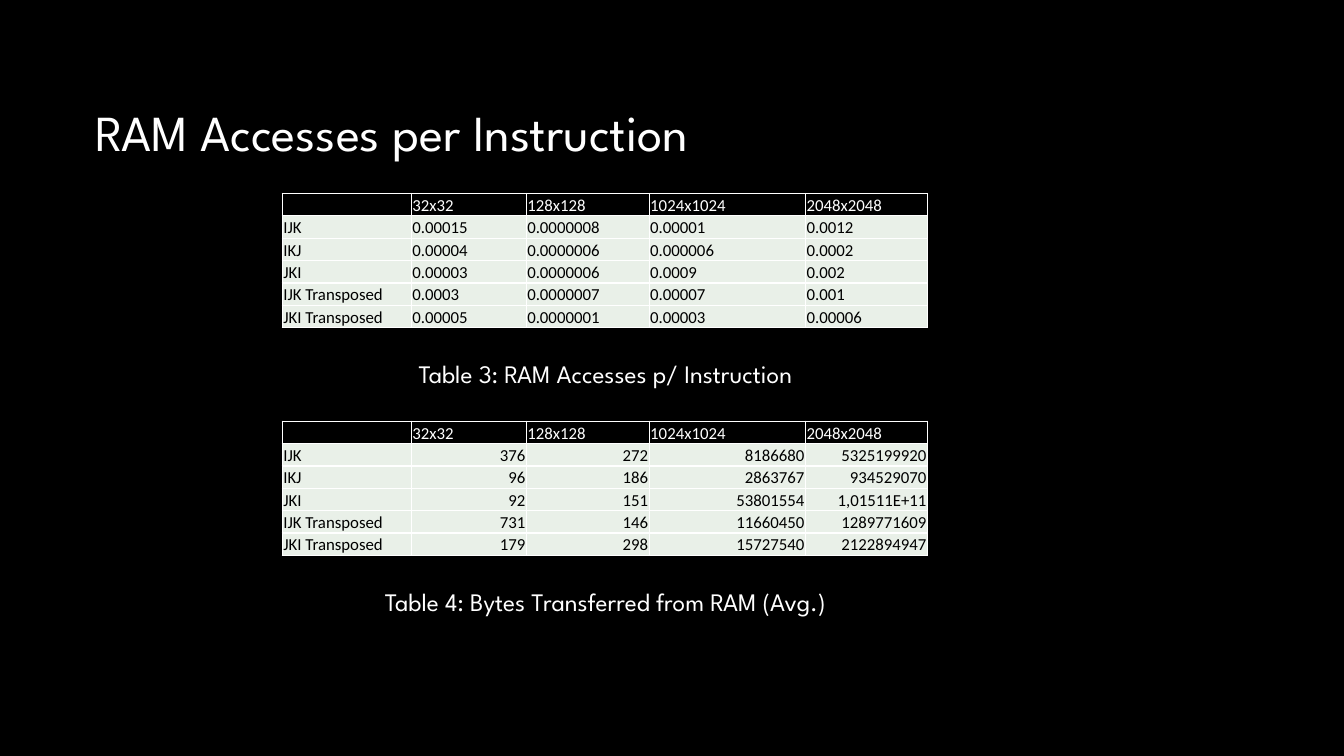
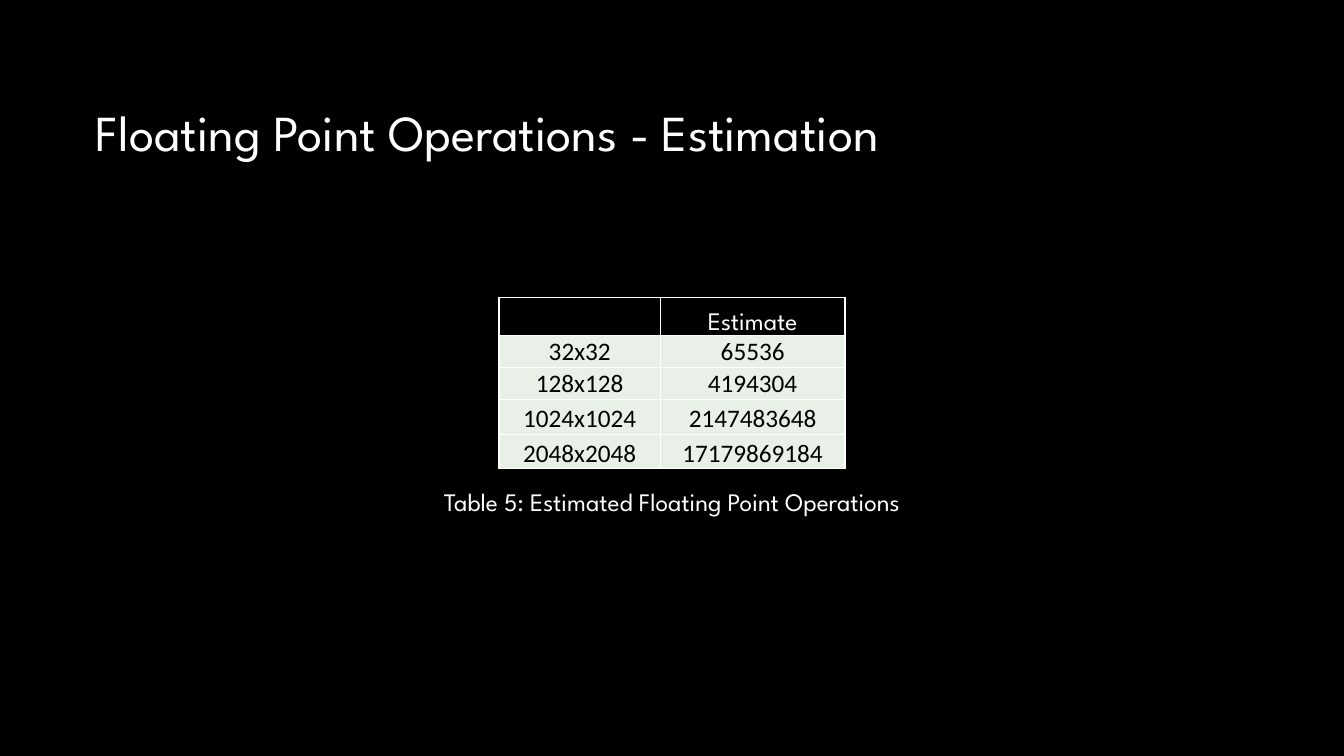
from dataclasses import dataclass

from lxml.etree import SubElement
from pptx import Presentation
from pptx.dml.color import RGBColor
from pptx.enum.text import MSO_ANCHOR, PP_ALIGN
from pptx.oxml import parse_xml
from pptx.oxml.ns import nsdecls, qn
from pptx.util import Inches, Pt


@dataclass(frozen=True)
class Theme:
    dark: str = "000000"
    light: str = "FFFFFF"
    body: str = "E9F0E8"
    display: str = "League Spartan"
    data: str = "Calibri"
    title: int = 36
    text: int = 18
    small: int = 12
    border: int = 1


THEME = Theme()
LEFT, CENTER, RIGHT = PP_ALIGN.LEFT, PP_ALIGN.CENTER, PP_ALIGN.RIGHT


def write(tf, text, *, size, font, color, align=LEFT):
    p = tf.paragraphs[0]
    p.alignment = align
    if not text:
        SubElement(p._p, qn("a:endParaRPr")).set("sz", str(size * 100))
        return
    r = p.add_run()
    r.text = text
    r.font.size = Pt(size)
    r.font.name = font
    r.font.color.rgb = RGBColor.from_string(color)


class Deck:
    def __init__(self, theme):
        self.theme = theme
        self.prs = Presentation()
        self.prs.slide_width = Inches(13.33)
        self.prs.slide_height = Inches(7.5)
        fill = self.prs.slide_master.background.fill
        fill.solid()
        fill.fore_color.rgb = RGBColor.from_string(theme.dark)
        self.s = None

    def slide(self, title, width):
        self.s = self.prs.slides.add_slide(self.prs.slide_layouts[5])
        sp = self.s.shapes.title
        sp.left, sp.top = Inches(0.85), Inches(0.95)
        sp.width, sp.height = Inches(width), Inches(0.71)
        sp.text_frame.word_wrap = True
        write(sp.text_frame, title, size=self.theme.title,
              font=self.theme.display, color=self.theme.light)

    def caption(self, text, left, top):
        sp = self.s.shapes.add_textbox(Inches(left), Inches(top), Inches(5.49), Inches(0.4))
        sp.text_frame.word_wrap = True
        write(sp.text_frame, text, size=self.theme.text,
              font=self.theme.display, color=self.theme.light, align=CENTER)

    def table(self, rows, left, top, widths, heights, *, size,
              head_font, aligns=(LEFT, LEFT, LEFT)):
        head_align, label_align, value_align = aligns
        frame = self.s.shapes.add_table(
            len(rows), len(widths), Inches(left), Inches(top),
            Inches(sum(widths)), Inches(sum(heights)))
        table = frame.table
        table.horz_banding = False
        for column, width in zip(table.columns, widths):
            column.width = Inches(width)
        for row, height in zip(table.rows, heights):
            row.height = Inches(height)
        for i, values in enumerate(rows):
            for j, value in enumerate(values):
                cell = table.cell(i, j)
                if i == 0:
                    fill, color = self.theme.dark, self.theme.light
                    font, align = head_font, head_align
                else:
                    fill, color = self.theme.body, self.theme.dark
                    font = self.theme.data
                    align = value_align if j else label_align
                self.style_cell(cell, fill)
                write(cell.text_frame, value, size=size, font=font,
                      color=color, align=align)

    def style_cell(self, cell, fill):
        cell.vertical_anchor = MSO_ANCHOR.BOTTOM
        cell.margin_left = cell.margin_right = cell.margin_top = Inches(0.01)
        cell.margin_bottom = 0
        cell.fill.solid()
        cell.fill.fore_color.rgb = RGBColor.from_string(fill)
        tcPr = cell._tc.get_or_add_tcPr()
        for i, side in enumerate("LRTB"):
            tcPr.insert(i, parse_xml(
                f'<a:ln{side} {nsdecls("a")} w="{Pt(self.theme.border)}"><a:solidFill>'
                f'<a:srgbClr val="{self.theme.light}"/></a:solidFill></a:ln{side}>'))


SIZES = ["32x32", "128x128", "1024x1024", "2048x2048"]
LOOPS = ["IJK", "IKJ", "JKI", "IJK Transposed", "JKI Transposed"]
ACCESSES = [
    ["0.00015", "0.0000008", "0.00001", "0.0012"],
    ["0.00004", "0.0000006", "0.000006", "0.0002"],
    ["0.00003", "0.0000006", "0.0009", "0.002"],
    ["0.0003", "0.0000007", "0.00007", "0.001"],
    ["0.00005", "0.0000001", "0.00003", "0.00006"],
]
BYTES = [
    ["376", "272", "8186680", "5325199920"],
    ["96", "186", "2863767", "934529070"],
    ["92", "151", "53801554", "1,01511E+11"],
    ["731", "146", "11660450", "1289771609"],
    ["179", "298", "15727540", "2122894947"],
]
ESTIMATES = ["65536", "4194304", "2147483648", "17179869184"]


def ram_slide(deck):
    deck.slide("RAM Accesses per Instruction", 7.87)
    tables = [
        (1.92, ACCESSES, LEFT, "Table 3: RAM Accesses p/ Instruction"),
        (4.18, BYTES, RIGHT, "Table 4: Bytes Transferred from RAM (Avg.)"),
    ]
    for top, values, align, caption in tables:
        rows = [["", *SIZES]] + [[loop, *row] for loop, row in zip(LOOPS, values)]
        deck.table(rows, 2.8, top, [1.28, 1.14, 1.22, 1.55, 1.21],
                   [1.33 / len(rows)] * len(rows), size=deck.theme.small,
                   head_font=deck.theme.data, aligns=(LEFT, LEFT, align))
        deck.caption(caption, 3.26, top + 1.59)


def estimate_slide(deck):
    deck.slide("Floating Point Operations - Estimation", 9.41)
    rows = [["", "Estimate"], *zip(SIZES, ESTIMATES)]
    deck.table(rows, 4.95, 2.95, [1.6, 1.83], [0.38, 0.31, 0.31, 0.35, 0.34],
               size=deck.theme.text, head_font=deck.theme.display,
               aligns=(CENTER, CENTER, CENTER))
    deck.caption("Table 5: Estimated Floating Point Operations", 3.92, 4.78)


def main():
    deck = Deck(THEME)
    ram_slide(deck)
    estimate_slide(deck)
    deck.prs.save("out.pptx")


if __name__ == "__main__":
    main()
